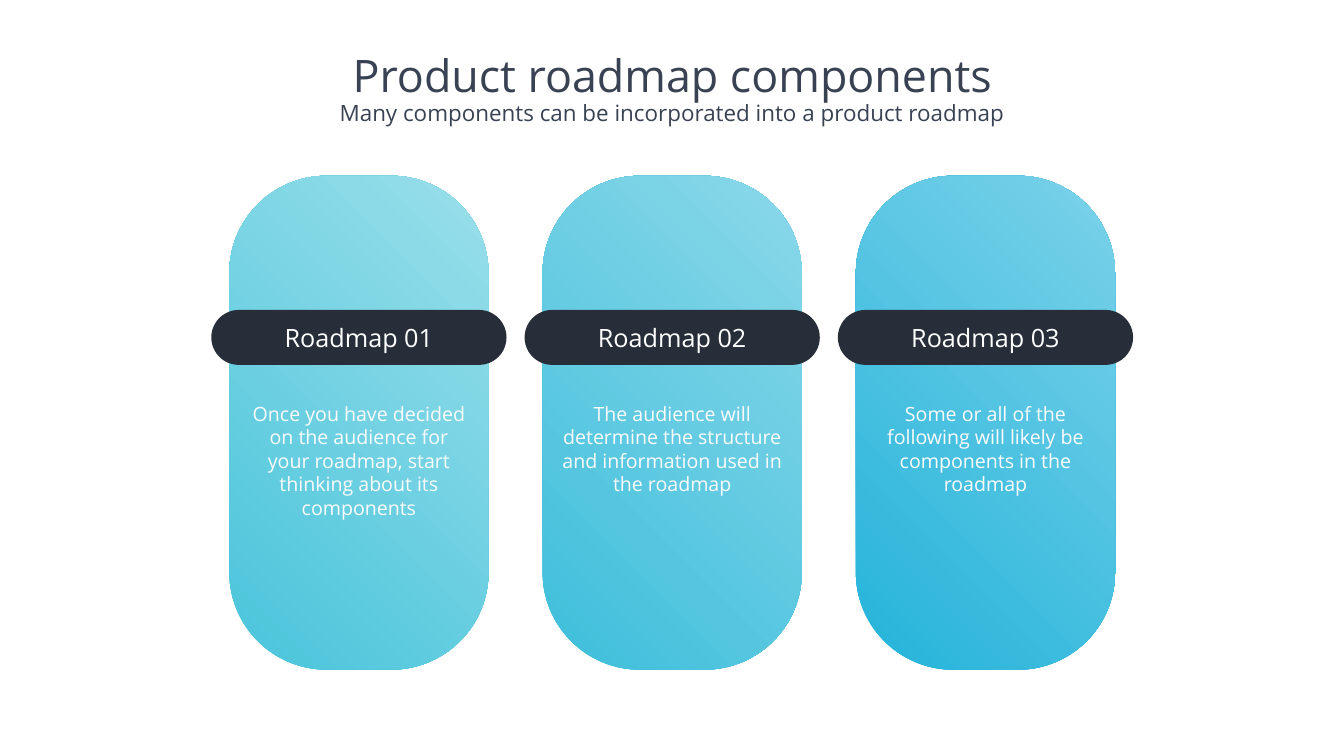
from pptx import Presentation
from pptx.dml.color import RGBColor
from pptx.enum import shapes, text
from pptx.util import Cm, Pt

FONT = "Open Sans"
SLATE = RGBColor(0x38, 0x42, 0x53)
INK = RGBColor(0x27, 0x2E, 0x3A)
WHITE = RGBColor(0xFF, 0xFF, 0xFF)
SOFT_WHITE = RGBColor(0xFB, 0xFB, 0xFB)

# Label, description, gradient from bottom left to top right
ROADMAPS = [
    ("Roadmap 01",
     "Once you have decided on the audience for your roadmap, start thinking about its components",
     (RGBColor(0x49, 0xC4, 0xDB), RGBColor(0x9A, 0xDF, 0xEA))),
    ("Roadmap 02",
     "The audience will determine the structure and information used in the roadmap",
     (RGBColor(0x3D, 0xBE, 0xDB), RGBColor(0x8B, 0xD8, 0xE9))),
    ("Roadmap 03",
     "Some or all of the following will likely be components in the roadmap",
     (RGBColor(0x24, 0xB3, 0xDA), RGBColor(0x7B, 0xD2, 0xE9))),
]
CARD_LEFT, CARD_TOP, CARD_WIDTH, CARD_HEIGHT = 11.56, 8.86, 13.06, 24.89
CARD_PITCH = 15.79


def write(paragraph, words, size, color, line_spacing=None):
    paragraph.text = words
    paragraph.alignment = text.PP_ALIGN.CENTER
    paragraph.line_spacing = line_spacing
    formats = {"name": FONT, "size": Pt(size)}
    for key, value in formats.items():
        setattr(paragraph.font, key, value)
    paragraph.font.color.rgb = color


def add_rounded(slide, left, top, width, height, rounding):
    shape = slide.shapes.add_shape(
        shapes.MSO_SHAPE.ROUNDED_RECTANGLE, Cm(left), Cm(top), Cm(width), Cm(height))
    shape.adjustments[0] = rounding
    shape.shadow.inherit = False
    shape.line.fill.background()
    return shape


def place_heading(slide, left, top, width, height):
    heading = slide.shapes.title
    box = {"left": left, "top": top, "width": width, "height": height}
    for key, value in box.items():
        setattr(heading, key, Cm(value))
    frame = heading.text_frame
    frame.auto_size = text.MSO_AUTO_SIZE.NONE
    frame.vertical_anchor = text.MSO_ANCHOR.TOP
    write(frame.paragraphs[0], "Product roadmap components", 64, SLATE, 0.9)
    write(frame.add_paragraph(),
          "Many components can be incorporated into a product roadmap", 32, SLATE, 0.9)


def place_card(slide, left, top, width, height, label, description, gradient):
    # Gradient column
    card = add_rounded(slide, left, top, width, height, 0.375)
    card.fill.gradient()
    card.fill.gradient_angle = 45
    for stop, color in zip(card.fill.gradient_stops, gradient):
        stop.color.rgb = color

    # Dark label, wider than the column on both sides
    overhang = 0.91
    pill = add_rounded(slide, left - overhang, top + 6.76, width + 2 * overhang, 2.77, 0.5)
    pill.fill.solid()
    pill.fill.fore_color.rgb = INK
    pill.text_frame.vertical_anchor = text.MSO_ANCHOR.MIDDLE
    write(pill.text_frame.paragraphs[0], label, 36, WHITE)

    # Description
    inset = 0.61
    caption = slide.shapes.add_textbox(
        Cm(left + inset), Cm(top + 11.26), Cm(width - 2 * inset), Cm(5.05))
    caption.text_frame.word_wrap = True
    write(caption.text_frame.paragraphs[0], description, 28, SOFT_WHITE, Pt(33.6))


def main():
    deck = Presentation()
    deck.slide_width, deck.slide_height = Cm(67.74), Cm(38.1)
    slide = deck.slides.add_slide(deck.slide_layouts.get_by_name("Title Only"))
    place_heading(slide, 12.34, 2.59, 43.08, 4.55)
    for index, roadmap in enumerate(ROADMAPS):
        place_card(slide, CARD_LEFT + index * CARD_PITCH, CARD_TOP,
                   CARD_WIDTH, CARD_HEIGHT, *roadmap)
    deck.save("out.pptx")


if __name__ == "__main__":
    main()
